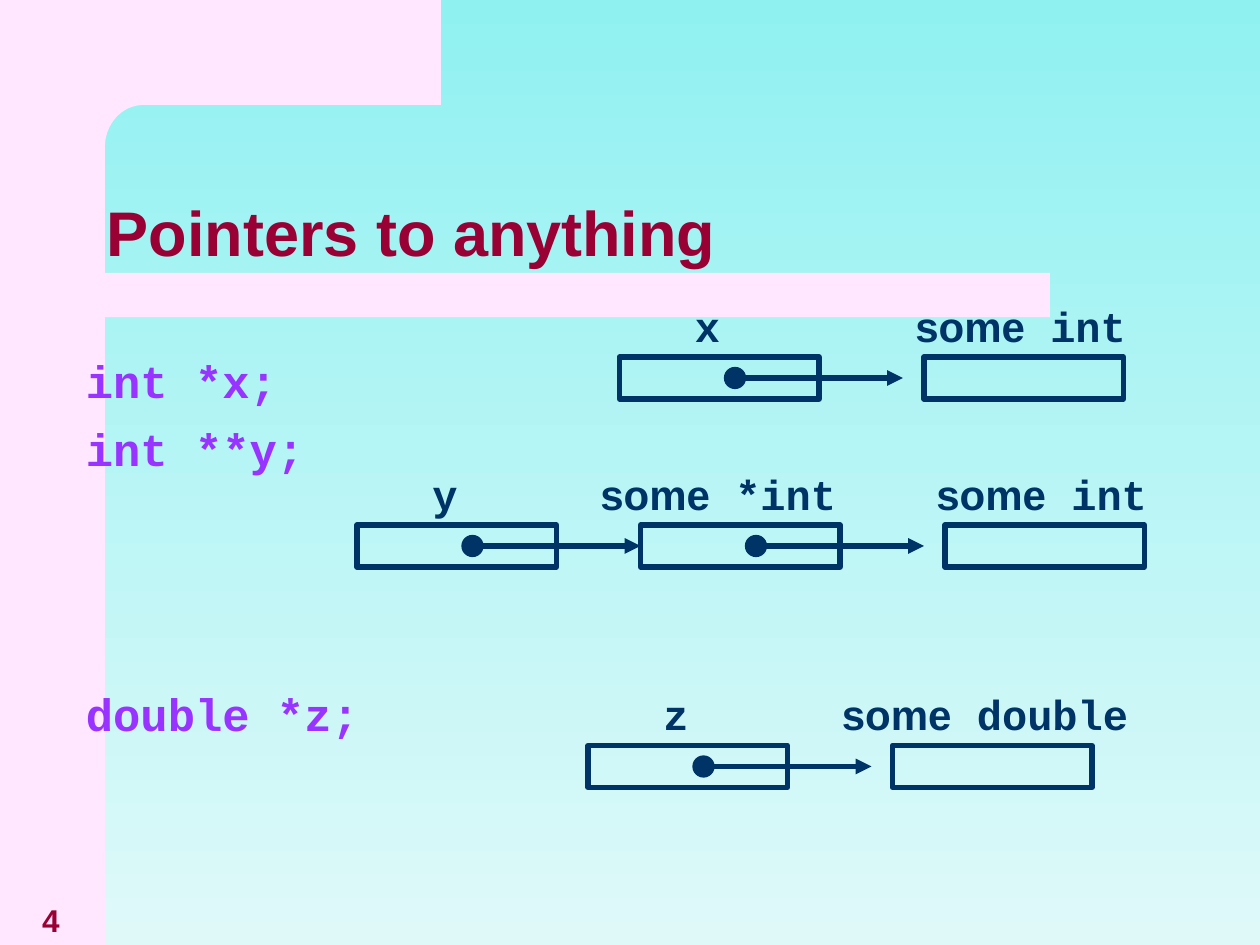
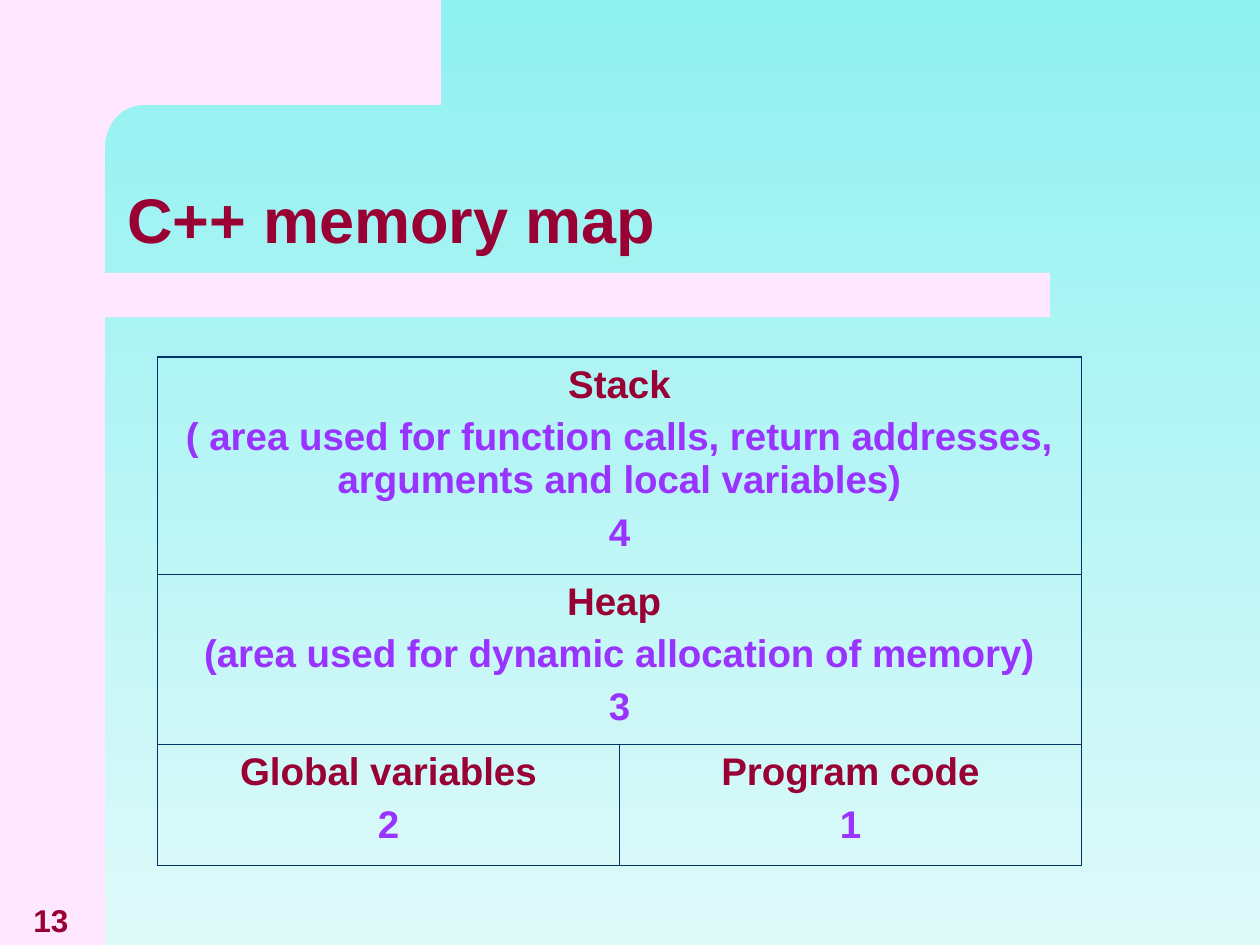
from dataclasses import dataclass
from math import cos, pi, sin

from lxml.etree import SubElement
from pptx import Presentation
from pptx.dml.color import RGBColor as Rgb
from pptx.enum.shapes import MSO_CONNECTOR as Connector, MSO_SHAPE as Shape
from pptx.enum.text import MSO_ANCHOR as Anchor, PP_ALIGN as Align
from pptx.oxml import parse_xml
from pptx.oxml.ns import nsdecls, qn
from pptx.util import Pt


@dataclass(frozen=True)
class Theme:
    sky_top: str = "90F1F1"
    sky_bottom: str = "DFF9F9"
    band: str = "FFE7FF"
    heading: str = "990033"
    code: str = "9933FF"
    ink: str = "003366"
    sans: str = "Arial"
    mono: str = "Courier New"
    title_size: float = 36
    code_size: float = 26
    label_size: float = 24
    map_size: float = 22
    number_size: float = 18
    box_line: float = 3
    dot_line: float = 0.75
    outer_border: float = 1.08
    inner_border: float = 0.45


THEME = Theme()
WIDTH, HEIGHT = 720, 540
POINTER_WIDTH, POINTER_HEIGHT = 114, 24


def add_run(paragraph, text, size, color, font=THEME.sans):
    run = paragraph.add_run()
    run.text = text
    run.font.size = Pt(size)
    run.font.name = font
    run.font.bold = True
    run.font.color.rgb = Rgb.from_string(color)


def add_text_frame(slide, box, anchor=Anchor.TOP, wrap=True):
    frame = slide.shapes.add_textbox(*map(Pt, box)).text_frame
    frame.word_wrap = wrap
    frame.vertical_anchor = anchor
    return frame


def paint(shape, fill=None, line=None, line_width=1):
    shape.shadow.inherit = False
    if fill:
        shape.fill.solid()
        shape.fill.fore_color.rgb = Rgb.from_string(fill)
    else:
        shape.fill.background()
    if line:
        shape.line.color.rgb = Rgb.from_string(line)
        shape.line.width = Pt(line_width)
    else:
        shape.line.fill.background()


def add_shape(slide, kind, box, **style):
    paint(slide.shapes.add_shape(kind, *map(Pt, box)), **style)


def add_backdrop(slide):
    sky = slide.background.fill
    sky.gradient()
    sky.gradient_angle = 270
    for stop, color in zip(sky.gradient_stops, (THEME.sky_top, THEME.sky_bottom)):
        stop.color.rgb = Rgb.from_string(color)

    add_shape(slide, Shape.RECTANGLE, (0, 0, 60, HEIGHT), fill=THEME.band)
    steps = 16
    curve = [(82 - 22 * sin(i / steps * pi / 2), 84 - 24 * cos(i / steps * pi / 2))
             for i in range(steps + 1)]
    outline = [(252, 60), *curve, (60, 92), (36, 92), (36, 0)]
    corner = slide.shapes.build_freeform(Pt(252), Pt(0))
    corner.add_line_segments([(Pt(x), Pt(y)) for x, y in outline], close=True)
    paint(corner.convert_to_shape(), fill=THEME.band)
    add_shape(slide, Shape.RECTANGLE, (48, 156, 552, 25.2), fill=THEME.band)


def add_page_number(slide, number, box=(6, 516, 46, 24)):
    paragraph = add_text_frame(slide, box, Anchor.BOTTOM).paragraphs[0]
    paragraph.alignment = Align.CENTER
    add_run(paragraph, number, THEME.number_size, THEME.heading)


def add_title(slide, title, box, anchor):
    paragraph = add_text_frame(slide, box, anchor).paragraphs[0]
    paragraph.line_spacing = 0.9
    add_run(paragraph, title, THEME.title_size, THEME.heading)


def start_slide(deck, number, title, title_box, title_anchor):
    slide = deck.slides.add_slide(deck.slide_layouts[6])
    add_backdrop(slide)
    add_page_number(slide, number)
    add_title(slide, title, title_box, title_anchor)
    return slide


def add_declarations(slide, box, declarations):
    frame = add_text_frame(slide, box)
    for i, (declaration, space_before) in enumerate(declarations):
        paragraph = frame.add_paragraph() if i else frame.paragraphs[0]
        paragraph.space_before = Pt(space_before)
        add_run(paragraph, declaration, THEME.code_size, THEME.code, THEME.mono)


def add_variable(slide, left, top, label, label_shift, label_width):
    add_shape(slide, Shape.RECTANGLE, (left, top, POINTER_WIDTH, POINTER_HEIGHT),
              line=THEME.ink, line_width=THEME.box_line)
    label_box = (left + label_shift, top - 36, label_width, 36)
    paragraph = add_text_frame(slide, label_box, wrap=False).paragraphs[0]
    for text, font in label:
        add_run(paragraph, text, THEME.label_size, THEME.ink, font)


def add_pointer_arrow(slide, left, top):
    start, middle = left + 66, top + POINTER_HEIGHT / 2
    arrow = slide.shapes.add_connector(
        Connector.STRAIGHT, Pt(start), Pt(middle), Pt(start + 96), Pt(middle))
    arrow.line.color.rgb = Rgb.from_string(THEME.ink)
    arrow.line.width = Pt(THEME.box_line)
    SubElement(arrow.line._get_or_add_ln(), qn("a:tailEnd"), type="triangle")
    SubElement(arrow._element.spPr, qn("a:effectLst"))
    add_shape(slide, Shape.OVAL, (start - 6, middle - 6, 12, 12),
              fill=THEME.ink, line=THEME.ink, line_width=THEME.dot_line)


def add_pointer_chain(slide, left, top, variables):
    for i, (offset, *label) in enumerate(variables):
        add_variable(slide, left + offset, top, *label)
        if i < len(variables) - 1:
            add_pointer_arrow(slide, left + offset, top)


def pointer(name):
    return 0, [(name, THEME.mono)], 36, 28.8


def target(offset, kind, label_shift, label_width):
    label = [("some", THEME.sans), (" " + kind, THEME.mono)]
    return offset, label, label_shift, label_width


def build_pointers_slide(deck):
    slide = start_slide(deck, "4", "Pointers to anything",
                        (54, 90, 666, 90), Anchor.MIDDLE)
    add_declarations(slide, (42, 198, 210, 324),
                     [("int *x;", 6.5), ("int **y;", 8), ("double *z;", 120)])
    add_pointer_chain(slide, 354, 204,
                      [pointer("x"), target(174, "int", -12, 134.6)])
    add_pointer_chain(slide, 204, 300,
                      [pointer("y"), target(162, "*int", -30, 149),
                       target(336, "int", -12, 134.6)])
    add_pointer_chain(slide, 336, 426,
                      [pointer("z"), target(174, "double", -36, 178)])


def set_borders(cell, edges):
    properties = cell._tc.get_or_add_tcPr()
    for i, (side, is_outer) in enumerate(edges.items()):
        width = Pt(THEME.outer_border if is_outer else THEME.inner_border)
        properties.insert(i, parse_xml(
            f'<a:ln{side} {nsdecls("a")} w="{width}"><a:solidFill>'
            f'<a:srgbClr val="{THEME.ink}"/></a:solidFill></a:ln{side}>'))


def fill_region(cell, heading, *details):
    frame = cell.text_frame
    for i, text in enumerate((heading, *details)):
        paragraph = frame.add_paragraph() if i else frame.paragraphs[0]
        paragraph.alignment = Align.CENTER
        paragraph.space_before = Pt(5.5)
        add_run(paragraph, text, THEME.map_size, THEME.code if i else THEME.heading)


def add_memory_map(slide, box, row_heights, regions):
    rows, columns = len(regions), max(map(len, regions))
    table = slide.shapes.add_table(rows, columns, *map(Pt, box)).table
    table.first_row = table.horz_banding = False
    for r, (height, row_regions) in enumerate(zip(row_heights, regions)):
        table.rows[r].height = Pt(height)
        if len(row_regions) < columns:
            table.cell(r, 0).merge(table.cell(r, columns - 1))
        for c in range(columns):
            cell = table.cell(r, c)
            cell.fill.background()
            set_borders(cell, {"L": c == 0,
                               "R": cell.is_merge_origin or c == columns - 1,
                               "T": r == 0, "B": r == rows - 1})
        for c, region in enumerate(row_regions):
            fill_region(table.cell(r, c), *region)


def build_memory_slide(deck):
    slide = start_slide(deck, "13", "C++ memory map",
                        (65.5, 77, 613.5, 73.5), Anchor.BOTTOM)
    add_memory_map(slide, (90, 204, 528, 290), (124, 97.5, 69), [
        [("Stack",
          "( area used for function calls, return addresses, arguments and local variables)",
          "4")],
        [("Heap ", "(area used for dynamic allocation of memory)", "3")],
        [("Global variables", "2"), ("Program code", "1")],
    ])


def main():
    deck = Presentation()
    deck.slide_width, deck.slide_height = Pt(WIDTH), Pt(HEIGHT)
    build_pointers_slide(deck)
    build_memory_slide(deck)
    deck.save("out.pptx")


if __name__ == "__main__":
    main()
